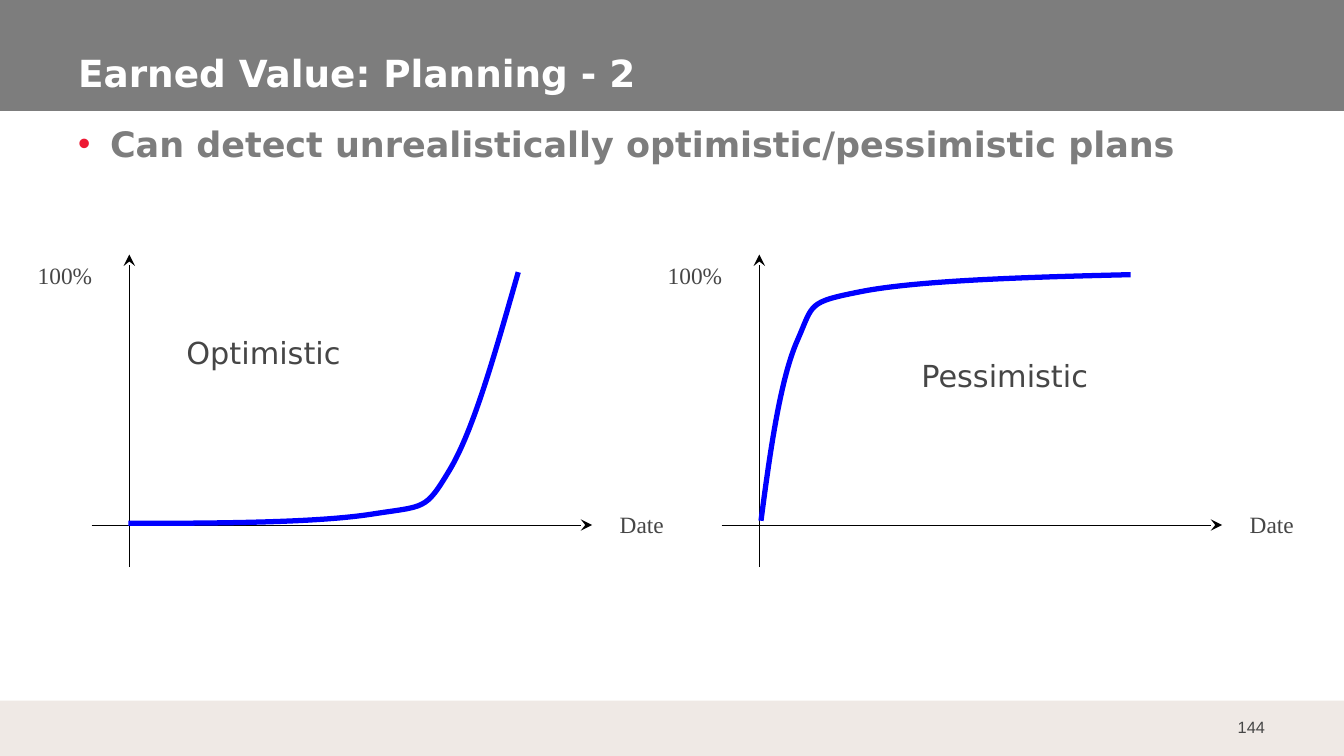
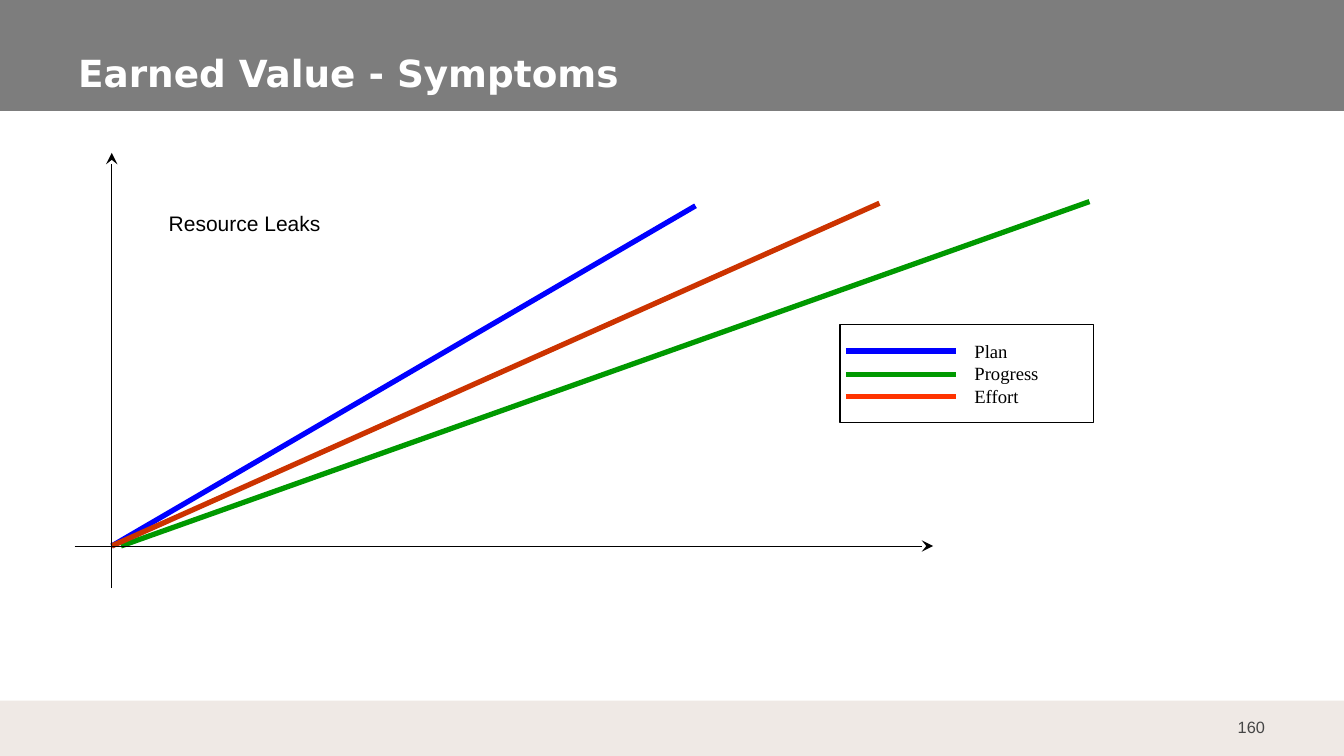
"""Build two earned value slides: plan curves and resource leak symptoms."""
from lxml import etree
from pptx import Presentation
from pptx.dml.color import RGBColor
from pptx.enum.shapes import MSO_CONNECTOR, MSO_SHAPE
from pptx.enum.text import MSO_ANCHOR, MSO_AUTO_SIZE, PP_ALIGN
from pptx.oxml import parse_xml
from pptx.oxml.ns import nsdecls, qn
from pptx.util import Inches, Pt

WHITE = RGBColor(0xFF, 0xFF, 0xFF)
BLACK = RGBColor(0, 0, 0)
GRAY = RGBColor(0x7D, 0x7D, 0x7D)
DARK_GRAY = RGBColor(0x46, 0x46, 0x46)
SAND = RGBColor(0xEF, 0xE9, 0xE5)
RED = RGBColor(0xED, 0x19, 0x33)
BLUE = RGBColor(0, 0, 0xFF)
GREEN = RGBColor(0, 0x99, 0)
RUST = RGBColor(0xCC, 0x33, 0)
ORANGE = RGBColor(0xFF, 0x33, 0)
SANS, SERIF, PLAIN = "DejaVu Sans", "Times New Roman", "Arial"


def set_text(shape, text, size, font, color, bold=False, inset=(0.1, 0.05)):
    frame = shape.text_frame
    frame.text = text
    frame.word_wrap = True
    frame.auto_size = MSO_AUTO_SIZE.NONE
    frame.margin_left = frame.margin_right = Inches(inset[0])
    frame.margin_top = frame.margin_bottom = Inches(inset[1])
    for paragraph in frame.paragraphs:
        paragraph.alignment = PP_ALIGN.LEFT
        paragraph.font.size = Pt(size)
        paragraph.font.name = font
        paragraph.font.bold = bold
        paragraph.font.color.rgb = color
    return frame


def draw_line(slide, start, end, color=BLACK, width=0.75, arrow=False):
    line = slide.shapes.add_connector(
        MSO_CONNECTOR.STRAIGHT, *[Inches(value) for value in (*start, *end)])
    line.line.color.rgb = color
    line.line.width = Pt(width)
    if arrow:
        outline = line.line._get_or_add_ln()
        etree.SubElement(outline, qn("a:tailEnd"), type="stealth", w="lg", len="lg")
    etree.SubElement(line.element.spPr, qn("a:effectLst"))


prs = Presentation()
prs.slide_width, prs.slide_height = Inches(16), Inches(9)
title_only = prs.slide_layouts[5]

slides = []
for heading, number in (("Earned Value: Planning - 2", "144"),
                        ("Earned Value - Symptoms", "160")):
    slide = prs.slides.add_slide(title_only)
    title = slide.shapes.title
    title.left, title.top = Inches(0.79), Inches(0.46)
    title.width, title.height = Inches(14.21), Inches(0.74)
    frame = set_text(title, heading, 32, SANS, WHITE, True, (0.14, 0.07))
    frame.vertical_anchor = MSO_ANCHOR.BOTTOM
    page = slide.shapes.add_textbox(Inches(14.4), Inches(8.42), Inches(0.8), Inches(0.48))
    frame = set_text(page, number, 14, PLAIN, DARK_GRAY, inset=(0.14, 0.07))
    frame.vertical_anchor = MSO_ANCHOR.MIDDLE
    frame.paragraphs[0].alignment = PP_ALIGN.RIGHT
    slides.append(slide)
planning, symptoms = slides

for left, top, width, height, color in ((-0.02, 0, 16.05, 1.32, GRAY),
                                        (0, 8.34, 16, 0.66, SAND)):
    band = planning.shapes.add_shape(
        MSO_SHAPE.RECTANGLE, Inches(left), Inches(top), Inches(width), Inches(height))
    band.shadow.inherit = False
    band.fill.solid()
    band.fill.fore_color.rgb = color
    band.line.fill.background()
    title_only.shapes.element.insert(2, band.element)

message = planning.shapes.add_textbox(Inches(0.79), Inches(1.39), Inches(14.17), Inches(0.58))
frame = set_text(message, "Can detect unrealistically optimistic/pessimistic plans",
                 30, SANS, GRAY, True, (0.14, 0.07))
bullet = frame.paragraphs[0]._p.get_or_add_pPr()
bullet.set("marL", str(Inches(0.38)))
bullet.set("indent", str(-Inches(0.38)))
for position, mark in enumerate((f'buClr {nsdecls("a")}><a:srgbClr val="{RED}"/></a:buClr>',
                                 f'buFont {nsdecls("a")} typeface="{PLAIN}"/>',
                                 f'buChar {nsdecls("a")} char="•"/>')):
    bullet.insert(position, parse_xml("<a:" + mark))

plans = (
    (0, "Optimistic", (2.12, 3.93),
     [(1.53, 6.23), (2.66, 6.23), (3.79, 6.22), (4.43, 6.12), (5.07, 6.02),
      (5.06, 6.08), (5.35, 5.6), (5.64, 5.12), (5.9, 4.18), (6.17, 3.24)]),
    (7.5, "Pessimistic", (10.87, 4.2),
     [(9.06, 6.2), (9.17, 5.36), (9.29, 4.52), (9.49, 4.06), (9.69, 3.61),
      (9.6, 3.6), (10.26, 3.47), (10.93, 3.34), (12.2, 3.3), (13.46, 3.27)]),
)
for offset, plan, (plan_left, plan_top), controls in plans:
    draw_line(planning, (offset + 1.54, 6.75), (offset + 1.54, 3.03), arrow=True)
    draw_line(planning, (offset + 1.09, 6.25), (offset + 7.05, 6.25), arrow=True)
    for label, left, top, width, height, size, font in (
            ("Date", offset + 7.28, 6.02, 0.97, 0.43, 20, SERIF),
            ("100%", offset + 0.35, 3.06, 1.59, 0.43, 20, SERIF),
            (plan, plan_left, plan_top, 2.25, 0.54, 26, SANS)):
        box = planning.shapes.add_textbox(
            Inches(left), Inches(top), Inches(width), Inches(height))
        set_text(box, label, size, font, DARK_GRAY)

    start, *rest = [(Inches(x), Inches(y)) for x, y in controls]
    builder = planning.shapes.build_freeform(*start)
    builder.add_line_segments(rest, close=False)
    curve = builder.convert_to_shape()
    corners = list(curve.element.iter(qn("a:lnTo")))
    for first in range(0, len(corners), 3):
        bend = etree.Element(qn("a:cubicBezTo"))
        corners[first].addprevious(bend)
        for corner in corners[first:first + 3]:
            bend.append(corner[0])
            corner.getparent().remove(corner)
    curve.shadow.inherit = False
    curve.fill.background()
    curve.line.color.rgb = BLUE
    curve.line.width = Pt(4.5)

for start_x, end, color in ((1.33, (8.28, 2.45), BLUE),
                            (1.44, (12.97, 2.4), GREEN),
                            (1.33, (10.47, 2.42), RUST)):
    draw_line(symptoms, (start_x, 6.5), end, color, 4.5)
draw_line(symptoms, (1.33, 7), (1.33, 1.82), arrow=True)
draw_line(symptoms, (0.89, 6.5), (11.11, 6.5), arrow=True)
symptom = symptoms.shapes.add_textbox(Inches(1.91), Inches(2.46), Inches(2.68), Inches(0.7))
set_text(symptom, "Resource Leaks", 18, PLAIN, BLACK)

legend = symptoms.shapes.add_shape(
    MSO_SHAPE.RECTANGLE, Inches(10), Inches(3.86), Inches(3.02), Inches(1.17))
legend.shadow.inherit = False
legend.fill.background()
legend.line.color.rgb = BLACK
legend.line.width = Pt(1)
frame = set_text(legend, "Plan\nProgress\nEffort", 16, SERIF, BLACK)
frame.margin_left = Inches(1.6)
frame.vertical_anchor = MSO_ANCHOR.MIDDLE
for key_y, color in ((4.46, GREEN), (4.18, BLUE), (4.72, ORANGE)):
    draw_line(symptoms, (10.07, key_y), (11.38, key_y), color, 4.5)

prs.save("out.pptx")
